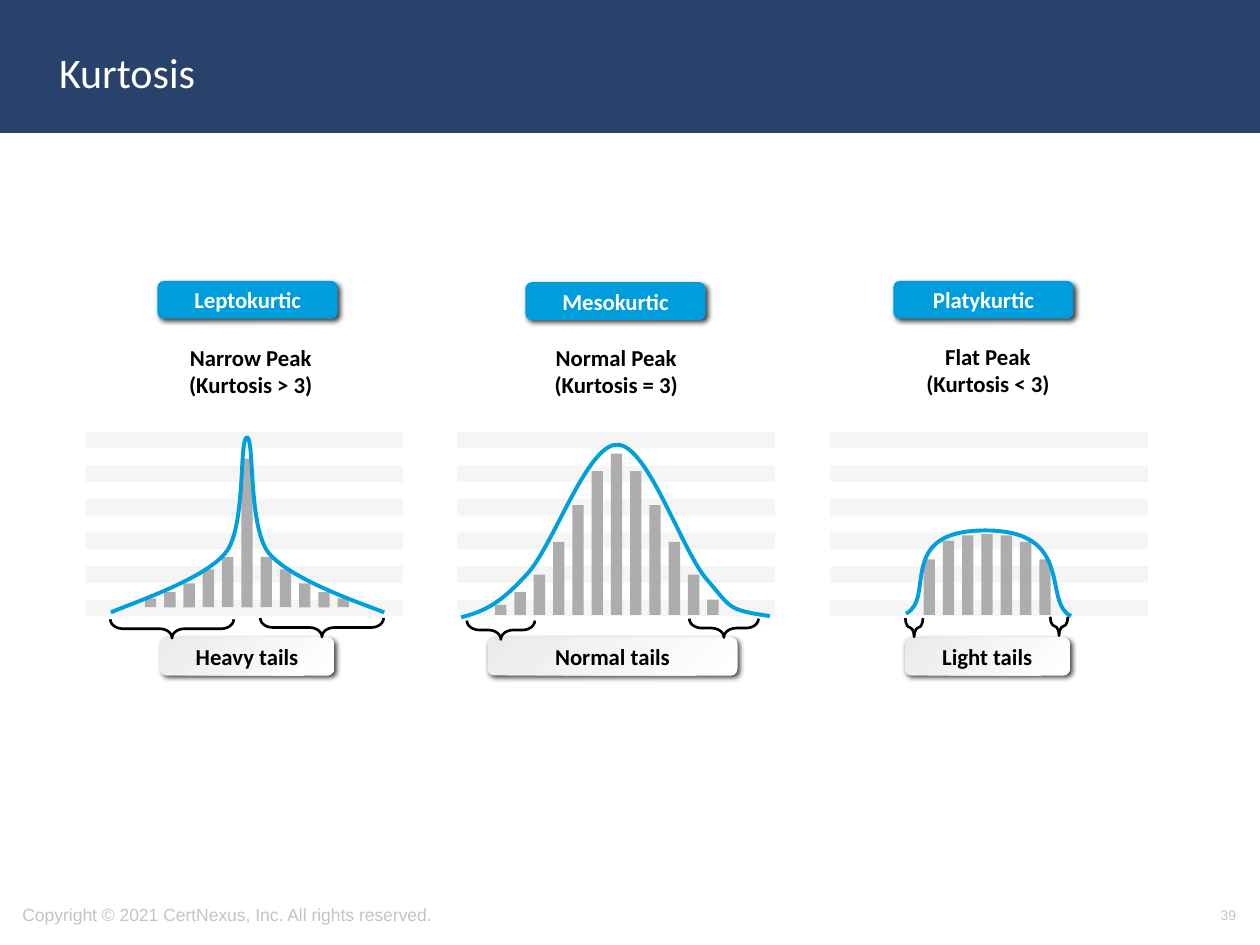
from lxml.etree import SubElement
from pptx import Presentation
from pptx.dml.color import RGBColor
from pptx.enum.shapes import MSO_SHAPE
from pptx.enum.text import MSO_ANCHOR, PP_ALIGN
from pptx.oxml import parse_xml
from pptx.oxml.ns import nsdecls, qn
from pptx.util import Inches, Pt

COLORS = {k: RGBColor.from_string(v) for k, v in {
    "navy": "28426C", "blue": "009DDC", "curve": "00A0DD", "bar": "ADADAD",
    "black": "000000", "white": "FFFFFF", "footer": "C4C4C4", "silver": "EBEBEB",
}.items()}
SHADOW = (f'<a:effectLst {nsdecls("a")}><a:outerShdw blurRad="38100" dist="25400" '
          'dir="2700000" algn="tl" rotWithShape="0"><a:srgbClr val="000000">'
          '<a:alpha val="75000"/></a:srgbClr></a:outerShdw></a:effectLst>')
BOLD = {"size": Pt(13), "name": "Calibri", "bold": True}
BAR_WIDTH, BAR_PITCH = 0.09, 1.53 / 10
STRIPE_TOP, STRIPE_PITCH = 3.43, 1.33 / 5

prs = Presentation()
prs.slide_width, prs.slide_height = Inches(10), Inches(7.5)
s = prs.slides.add_slide(prs.slide_layouts[6])


def add_box(kind, left, top, width, height, fill=None):
    sp = s.shapes.add_shape(kind, *map(Inches, (left, top, width, height)))
    sp.shadow.inherit = False
    sp.line.fill.background()
    if fill:
        sp.fill.solid()
        sp.fill.fore_color.rgb = COLORS[fill]
    else:
        sp.fill.background()
    return sp


def write(sp, text, color, font, align=PP_ALIGN.CENTER, anchor=MSO_ANCHOR.MIDDLE):
    tf = sp.text_frame
    tf.word_wrap = True
    tf.vertical_anchor = anchor
    p = tf.paragraphs[0]
    p.text = text
    p.alignment = align
    for r in p.runs:
        for name, value in font.items():
            setattr(r.font, name, value)
        r.font.color.rgb = COLORS[color]


# Header and footer
header = add_box(MSO_SHAPE.RECTANGLE, 0, 0, 10, 1.04, "navy")
header.line.color.rgb = COLORS["navy"]
header.line.width = Pt(2)
for box, text, color, font, size, align in [
    ((0.08, 7.06, 5.27, 0.4), "Copyright © 2021 CertNexus, Inc. All rights reserved.",
     "footer", "Arial", 10, PP_ALIGN.LEFT),
    ((0.37, 0.11, 8.62, 0.92), "Kurtosis", "white", "Calibri", 24, PP_ALIGN.LEFT),
    ((7.58, 7.06, 2.33, 0.4), "39", "footer", "Arial", 8, PP_ALIGN.RIGHT),
]:
    write(s.shapes.add_textbox(*map(Inches, box)), text, color,
          {"size": Pt(size), "name": font}, align)

# Curves: a start point, then cubic segments of two controls and an end
panels = [
    {"name": "Platykurtic", "name_at": (7.09, 2.23), "stripes": 6.59,
     "peak": "Flat Peak\n(Kurtosis < 3)", "peak_at": (7, 2.67, 1.68),
     "bars": (7.33, 4.88), "heights": [0.44, 0.59, 0.63, 0.64, 0.63, 0.58, 0.44],
     "curve": [(7.19, 4.87), (7.43, 4.75), (7.1, 4.21), (7.82, 4.21),
               (8.54, 4.21), (8.27, 4.78), (8.5, 4.89)],
     "tails": "Light tails", "tails_at": (7.18, 1.31),
     "braces": [(7.18, 4.91, 0.14), (8.33, 4.9, 0.14)]},
    {"name": "Leptokurtic", "name_at": (1.25, 2.23), "stripes": 0.68,
     "peak": "Narrow Peak\n(Kurtosis > 3)", "peak_at": (1.21, 2.68, 1.56),
     "bars": (1.15, 4.82), "heights": [0.07, 0.12, 0.19, 0.3, 0.4, 1.18,
                                       0.4, 0.3, 0.19, 0.12, 0.07],
     "curve": [(0.88, 4.86), (1.09, 4.77), (1.67, 4.58), (1.81, 4.36),
               (1.95, 4.13), (1.9, 3.48), (1.96, 3.47), (2.02, 3.47), (1.97, 4.14),
               (2.12, 4.37), (2.27, 4.59), (2.9, 4.8), (3.05, 4.86)],
     "tails": "Heavy tails", "tails_at": (1.27, 1.38),
     "braces": [(1.29, 4.5, 0.98), (2.48, 4.49, 0.98)]},
    {"name": "Mesokurtic", "name_at": (4.17, 2.24), "stripes": 3.63,
     "peak": "Normal Peak\n(Kurtosis = 3)", "peak_at": (4.07, 2.68, 1.64),
     "bars": (3.93, 4.88), "heights": [0.08, 0.18, 0.32, 0.58, 0.87, 1.14, 1.28,
                                       1.14, 0.87, 0.58, 0.32, 0.12],
     "curve": [(3.66, 4.9), (3.85, 4.85), (3.97, 4.79), (4.18, 4.56),
               (4.39, 4.34), (4.66, 3.52), (4.9, 3.53), (5.14, 3.53), (5.41, 4.37),
               (5.61, 4.6), (5.81, 4.83), (5.77, 4.84), (6.11, 4.89)],
     "tails": "Normal tails", "tails_at": (3.87, 1.98),
     "braces": [(3.9, 4.73, 0.54), (5.67, 4.71, 0.55)]},
]

for panel in panels:
    for i in reversed(range(6)):
        stripe = add_box(MSO_SHAPE.RECTANGLE, panel["stripes"],
                         STRIPE_TOP + i * STRIPE_PITCH, 2.52, 0.13, "black")
        color = stripe._element.spPr.find(qn("a:solidFill"))[0]
        SubElement(color, qn("a:alpha")).set("val", "4000")

    name = add_box(MSO_SHAPE.ROUNDED_RECTANGLE, *panel["name_at"], 1.43, 0.3, "blue")
    write(name, panel["name"], "white", BOLD)

    left, base = panel["bars"]
    for i, height in enumerate(panel["heights"]):
        add_box(MSO_SHAPE.RECTANGLE, left + i * BAR_PITCH, base - height,
                BAR_WIDTH, height, "bar")

    left, top, width = panel["peak_at"]
    peak = s.shapes.add_textbox(*map(Inches, (left, top, width, 0.54)))
    write(peak, panel["peak"], "black", BOLD, anchor=MSO_ANCHOR.TOP)

    # Outline through the segment ends, with each line then made a cubic
    pts = [(Inches(x), Inches(y)) for x, y in panel["curve"]]
    builder = s.shapes.build_freeform(*pts[0])
    builder.add_line_segments(pts[3::3], close=False)
    curve = builder.convert_to_shape()
    lines = list(curve._element.iter(qn("a:lnTo")))
    for line, *controls in zip(lines, pts[1::3], pts[2::3]):
        line.tag = qn("a:cubicBezTo")
        for i, (x, y) in enumerate(controls):
            pt = parse_xml(f'<a:pt {nsdecls("a")} x="{x - curve.left}" y="{y - curve.top}"/>')
            line.insert(i, pt)
    curve.shadow.inherit = False
    curve.fill.background()
    curve.line.color.rgb = COLORS["curve"]
    curve.line.width = Pt(2.25)

    left, width = panel["tails_at"]
    tails = add_box(MSO_SHAPE.ROUNDED_RECTANGLE, left, 5.06, width, 0.3)
    tails.fill.gradient()
    tails.fill.gradient_angle = 315
    for stop, color in zip(tails.fill.gradient_stops, ("silver", "white")):
        stop.color.rgb = COLORS[color]
    write(tails, panel["tails"], "black", BOLD)

    for sp in (name, tails):
        spPr = sp._element.spPr
        spPr.replace(spPr.find(qn("a:effectLst")), parse_xml(SHADOW))

    for left, top, span in panel["braces"]:
        brace = add_box(MSO_SHAPE.RIGHT_BRACE, left, top, 0.15, span)
        brace.rotation = 90
        brace.adjustments[0] = 0.66
        brace.line.color.rgb = COLORS["black"]
        brace.line.width = Pt(1.5)

prs.save("out.pptx")
